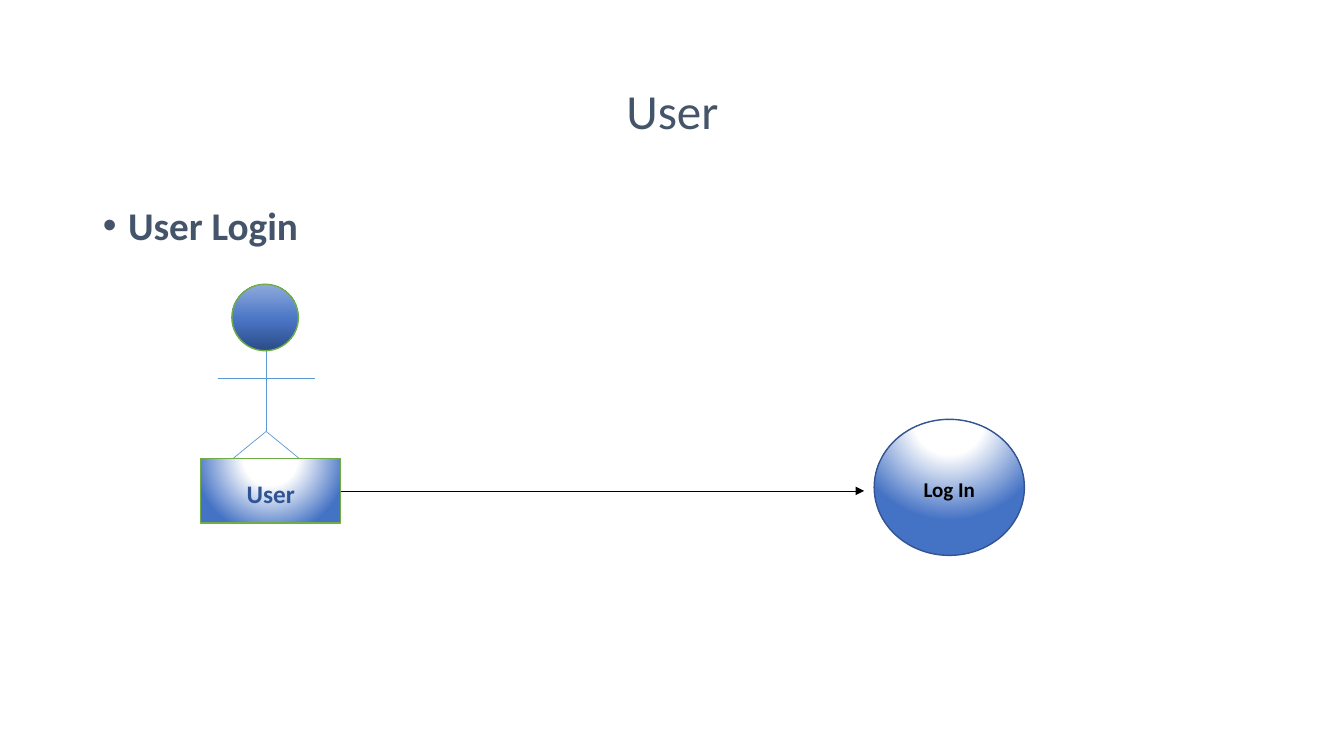
from pptx import Presentation
from pptx.dml.color import RGBColor
from pptx.enum.shapes import MSO_CONNECTOR, MSO_SHAPE
from pptx.enum.text import MSO_ANCHOR, PP_ALIGN
from pptx.oxml import parse_xml
from pptx.oxml.ns import nsdecls, qn
from pptx.util import Inches, Pt

STRAIGHT = MSO_CONNECTOR.STRAIGHT
OVAL, RECTANGLE = MSO_SHAPE.OVAL, MSO_SHAPE.RECTANGLE
MIDDLE, TOP = MSO_ANCHOR.MIDDLE, MSO_ANCHOR.TOP
CENTER, LEFT = PP_ALIGN.CENTER, PP_ALIGN.LEFT
RIGHT_SIDE = 3

SLATE = RGBColor(0x44, 0x54, 0x6A)
GREEN = RGBColor(0x70, 0xAD, 0x47)
SKY = RGBColor(0x5B, 0x9B, 0xD5)
NAVY = RGBColor(0x2F, 0x54, 0x96)
RIM = RGBColor(0x32, 0x54, 0x91)
BLACK = RGBColor(0, 0, 0)
WHITE = RGBColor(0xFF, 0xFF, 0xFF)
BLUE = RGBColor(0x44, 0x72, 0xC4)

HEAD_STOPS = [(0, RGBColor(0x2A, 0x4B, 0x86)), (48, RGBColor(0x4A, 0x76, 0xC6)),
              (100, RGBColor(0x8F, 0xAA, 0xDC))]
GLOW_STOPS = [(0, WHITE), (35, WHITE), (100, BLUE)]
UPWARD = '<a:lin ang="16200000" scaled="0"/>'
GLOW = ('<a:path path="circle"><a:fillToRect l="50000" t="-80000" '
        'r="50000" b="180000"/></a:path>')

TITLE = "User"
BULLET = "User Login"
ACTOR = "User"
USE_CASE = "Log In"

TITLE_BOX = (0.92, 0.4, 11.5, 1.45)
BODY_BOX = (0.92, 2, 11.5, 4.76)
HEAD_BOX = (2.3, 2.82, 0.66, 0.66)
ACTOR_BOX = (1.99, 4.55, 1.39, 0.64)
USE_CASE_BOX = (8.67, 4.16, 1.49, 1.35)
SPINE_X, NECK_Y, ARMS_Y, HIP_Y, FEET_Y = 2.64, 3.48, 3.75, 4.28, 4.55
ARM_REACH, LEG_REACH = 0.48, 0.33
ARROW_END_X = 8.57

LIMBS = [
    (SPINE_X, NECK_Y, SPINE_X, HIP_Y),
    (SPINE_X - ARM_REACH, ARMS_Y, SPINE_X + ARM_REACH, ARMS_Y),
    (SPINE_X, HIP_Y, SPINE_X + LEG_REACH, FEET_Y),
    (SPINE_X, HIP_Y, SPINE_X - LEG_REACH, FEET_Y),
]


def write(paragraph, words, size, color, bold, align, spacing, before):
    """Add one formatted run to a paragraph."""
    paragraph.alignment = align
    paragraph.line_spacing = spacing
    paragraph.space_before = Pt(before)
    run = paragraph.add_run()
    run.text = words
    run.font.name = "Calibri"
    run.font.size = Pt(size)
    run.font.bold = bold
    run.font.color.rgb = color


def place(placeholder, box, anchor):
    """Move a placeholder and return its first paragraph."""
    (placeholder.left, placeholder.top,
     placeholder.width, placeholder.height) = map(Inches, box)
    placeholder.text_frame.vertical_anchor = anchor
    return placeholder.text_frame.paragraphs[0]


def add_figure(slide, kind, box, stops, shading, rim):
    """Add a gradient-filled shape with a thin rim."""
    figure = slide.shapes.add_shape(kind, *map(Inches, box))
    figure.shadow.inherit = False
    figure.line.color.rgb = rim
    figure.line.width = Pt(1)
    marks = "".join(f'<a:gs pos="{at * 1000}"><a:srgbClr val="{color}"/></a:gs>'
                    for at, color in stops)
    gradient = parse_xml(f'<a:gradFill {nsdecls("a")} rotWithShape="1">'
                         f'<a:gsLst>{marks}</a:gsLst>{shading}</a:gradFill>')
    figure._element.spPr.find(qn("a:prstGeom")).addnext(gradient)
    return figure


def label(figure, words, size, color):
    """Write a bold centred label in a shape."""
    figure.text_frame.vertical_anchor = MIDDLE
    write(figure.text_frame.paragraphs[0], words, size, color, True, CENTER, 1.15, 2)


def add_line(slide, ends, color):
    """Add a hairline connector without a shadow."""
    line = slide.shapes.add_connector(STRAIGHT, *map(Inches, ends))
    line.line.color.rgb = color
    line.line.width = Pt(0.5)
    line._element.spPr.append(parse_xml(f'<a:effectLst {nsdecls("a")}/>'))
    return line


def main():
    """Build the user login slide."""
    deck = Presentation()
    deck.slide_width, deck.slide_height = Inches(13.33), Inches(7.5)
    slide = deck.slides.add_slide(deck.slide_layouts[1])

    heading = place(slide.shapes.title, TITLE_BOX, MIDDLE)
    write(heading, TITLE, 35, SLATE, False, CENTER, 0.9, 0)
    bullet = place(slide.placeholders[1], BODY_BOX, TOP)
    write(bullet, BULLET, 28, SLATE, True, LEFT, 0.9, 10)
    indent = bullet._p.get_or_add_pPr()
    indent.set("marL", str(Inches(0.25)))
    indent.set("indent", str(Inches(-0.25)))

    add_figure(slide, OVAL, HEAD_BOX, HEAD_STOPS, UPWARD, GREEN)
    for limb in LIMBS:
        add_line(slide, limb, SKY)

    actor = add_figure(slide, RECTANGLE, ACTOR_BOX, GLOW_STOPS, GLOW, GREEN)
    label(actor, ACTOR, 18, NAVY)

    left, top, width, height = ACTOR_BOX
    arrow_y = top + height / 2
    arrow = add_line(slide, (left + width, arrow_y, ARROW_END_X, arrow_y), BLACK)
    arrow.begin_connect(actor, RIGHT_SIDE)
    arrow.line._get_or_add_ln().append(
        parse_xml(f'<a:tailEnd {nsdecls("a")} type="triangle"/>'))

    use_case = add_figure(slide, OVAL, USE_CASE_BOX, GLOW_STOPS, GLOW, RIM)
    label(use_case, USE_CASE, 15, BLACK)

    deck.save("out.pptx")


if __name__ == "__main__":
    main()
